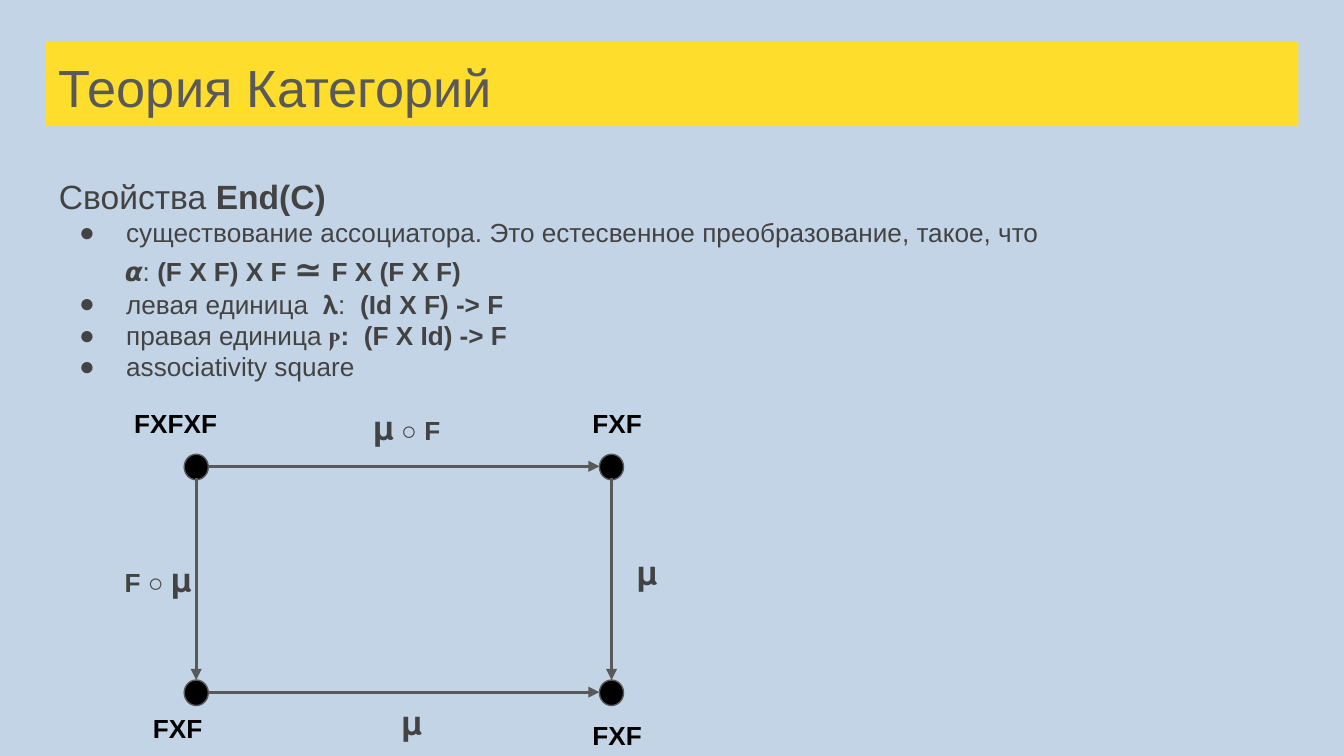
from pptx import Presentation
from pptx.dml.color import RGBColor
from pptx.enum.shapes import MSO_CONNECTOR as Connector, MSO_SHAPE as Shape
from pptx.enum.text import MSO_ANCHOR as Anchor
from pptx.oxml.ns import qn
from pptx.util import Inches, Pt
from lxml.etree import SubElement

BACKGROUND = RGBColor(0xC3, 0xD4, 0xE6)
YELLOW = RGBColor(0xFF, 0xDD, 0x2D)
GRAY = RGBColor(0x59, 0x59, 0x59)
DARK = RGBColor(0x43, 0x43, 0x43)
BLACK = RGBColor(0, 0, 0)

FRAME = {
    "word_wrap": True,
    "vertical_anchor": Anchor.TOP,
    "margin_left": Inches(0.1),
    "margin_right": Inches(0.1),
    "margin_top": Inches(0.1),
    "margin_bottom": Inches(0.1),
}


def add_runs(paragraph, runs, color):
    for text, size, bold in runs:
        run = paragraph.add_run()
        run.text = text
        font_format = {"name": "Arial", "size": Pt(size), "bold": bold}
        for attribute, value in font_format.items():
            setattr(run.font, attribute, value)
        run.font.color.rgb = color


def add_text(left, top, width, height, runs, color):
    box = slide.shapes.add_textbox(Inches(left), Inches(top), Inches(width), Inches(height))
    for attribute, value in FRAME.items():
        setattr(box.text_frame, attribute, value)
    add_runs(box.text_frame.paragraphs[0], runs, color)
    return box


prs = Presentation()
prs.slide_width = Inches(10)
prs.slide_height = Inches(10 * 9 / 16)
slide = prs.slides.add_slide(prs.slide_layouts[6])
slide.background.fill.solid()
slide.background.fill.fore_color.rgb = BACKGROUND

title = add_text(0.34, 0.31, 9.32, 0.63, [("Теория Категорий", 28, False)], GRAY)
title.fill.solid()
title.fill.fore_color.rgb = YELLOW

heading = [("Свойства ", 18, False), ("End(C)", 18, True)]
properties = add_text(0.34, 1.21, 9.32, 1.74, heading, DARK)

property_lines = [
    (True, [("существование ассоциатора. Это естесвенное преобразование, такое, что", 14, False)]),
    (False, [("𝞪: ", 14, False), ("(F X F) X F ", 14, True), ("≃ ", 18, True), ("F X (F X F)", 14, True)]),
    (True, [("левая единица  𝛌:  ", 14, False), ("(Id X F) -> F", 14, True)]),
    (True, [("правая единица ", 14, False), ("ⲣ:  (F Х Id) -> F", 14, True)]),
    (True, [("associativity square", 14, False)]),
]
for bulleted, runs in property_lines:
    paragraph = properties.text_frame.add_paragraph()
    add_runs(paragraph, runs, DARK)
    layout = paragraph._p.get_or_add_pPr()
    layout.set("marL", str(Inches(0.5 if bulleted else 0.49)))
    layout.set("indent", str(Inches(-0.35 if bulleted else 0)))
    if bulleted:
        bullet_color = SubElement(layout, qn("a:buClr"))
        SubElement(bullet_color, qn("a:srgbClr")).set("val", str(DARK))
        for tag, key, value in [
            ("a:buSzPts", "val", "1400"),
            ("a:buFont", "typeface", "Arial"),
            ("a:buChar", "char", "●"),
        ]:
            SubElement(layout, qn(tag)).set(key, value)

LEFT, RIGHT, TOP, BOTTOM = 1.46, 4.55, 3.47, 5.15
RADIUS = 0.09

for x in (LEFT, RIGHT):
    for y in (TOP, BOTTOM):
        node = slide.shapes.add_shape(
            Shape.OVAL, Inches(x - RADIUS), Inches(y - RADIUS), Inches(2 * RADIUS), Inches(0.19)
        )
        node.shadow.inherit = False
        node.fill.solid()
        node.fill.fore_color.rgb = BLACK
        node.line.color.rgb = GRAY
        node.line.width = Pt(0.75)

arrows = [(LEFT + RADIUS, y, RIGHT - RADIUS, y) for y in (TOP, BOTTOM)]
arrows += [(x, TOP + RADIUS, x, BOTTOM - RADIUS) for x in (LEFT, RIGHT)]
for ends in arrows:
    arrow = slide.shapes.add_connector(Connector.STRAIGHT, *[Inches(end) for end in ends])
    arrow.line.color.rgb = GRAY
    arrow.line.width = Pt(1.5)
    SubElement(arrow.line._get_or_add_ln(), qn("a:tailEnd")).set("type", "triangle")
    SubElement(arrow._element.spPr, qn("a:effectLst"))

node_labels = [
    ("FXFXF", 0.9, 2.93, 1.01),
    ("FXF", 4.31, 2.93, 0.66),
    ("FXF", 1.04, 5.2, 0.66),
    ("FXF", 4.31, 5.25, 0.66),
]
for name, left, top, width in node_labels:
    add_text(left, top, width, 0.5, [(name, 14, True)], BLACK)

mu = ("𝛍", 18, False)
arrow_labels = [
    ([mu, (" ", 14, False), ("○ F", 14, True)], 2.68, 2.93, 0.86),
    ([("F ○ ", 14, True), mu], 0.83, 4.06, 0.86),
    ([mu], 2.89, 5.12, 0.39),
    ([mu], 4.64, 4.01, 0.39),
]
for runs, left, top, width in arrow_labels:
    add_text(left, top, width, 0.5, runs, DARK)

prs.save("out.pptx")
